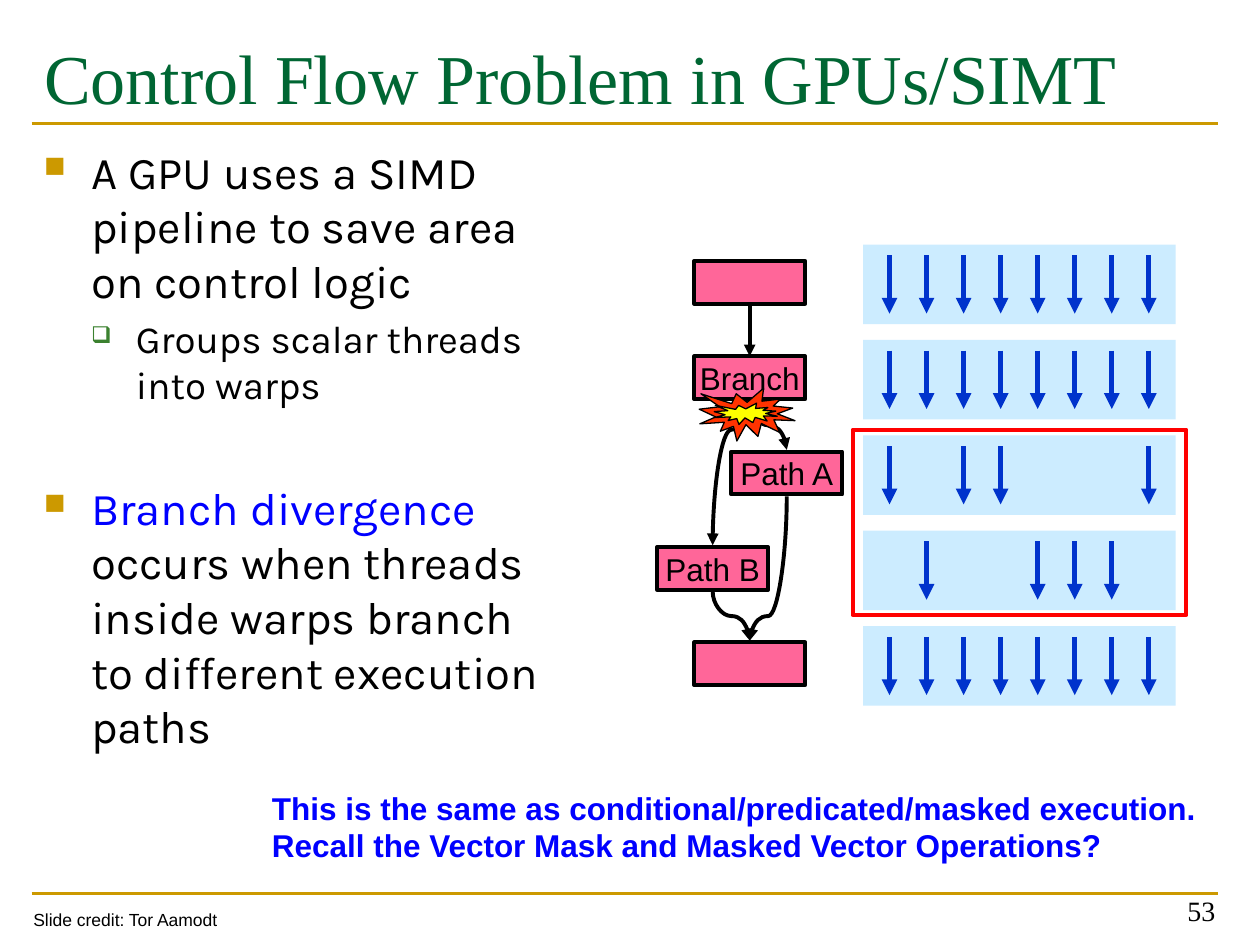
from typing import NamedTuple

from lxml.etree import SubElement
from pptx import Presentation
from pptx.dml.color import RGBColor
from pptx.enum.shapes import MSO_CONNECTOR as Link, MSO_SHAPE as Preset
from pptx.enum.text import MSO_ANCHOR as Anchor, MSO_AUTO_SIZE as AutoSize, PP_ALIGN as Align
from pptx.oxml.ns import qn
from pptx.util import Pt

GOLD, BLACK, BLUE, NAVY = "CC9900", "000000", "0000FF", "0033CC"
PITCH = 54.5          # from one execution step to the next
BAND_TOP, BAND_HEIGHT = 139.8, 45.4
LANE_LEFT, LANE_GAP = 508.3, 21.17
BLOCK_TOP, BLOCK_WIDTH, BLOCK_HEIGHT = 149.1, 63.4, 24.5
CENTER = 428.4        # middle of the control-flow graph


class Block(NamedTuple):
    label: str
    center: float


class Bend(NamedTuple):
    source: int
    target: int
    turn: float       # share of the drop at which the curve turns


class Bullet(NamedTuple):
    runs: list[tuple[str, str]]
    size: float
    char: str
    color: str
    scale: int
    left: float
    hanging: float
    before: float


BLOCKS = [
    Block("", CENTER),
    Block("Branch", CENTER),
    Block("Path A", CENTER + LANE_GAP),
    Block("Path B", CENTER - LANE_GAP),
    Block("", CENTER),
]
BENDS = [Bend(1, 3, 0.2), Bend(1, 2, 0.5), Bend(2, 4, 0.83), Bend(3, 4, 0.5)]
ACTIVE_LANES = ["11111111", "11111111", "10110001", "01001110", "11111111"]
BULLETS = [
    Bullet([("A GPU uses a SIMD pipeline to save area on control logic", BLACK)],
           26, "■", GOLD, 65, 27, 27, 0),
    Bullet([("Groups scalar threads into warps", BLACK)],
           22, "❑", "3B812F", 60, 52.6, 25.6, 4.4),
    Bullet([("Branch divergence ", BLUE),
            ("occurs when threads inside warps branch to different execution paths", BLACK)],
           26, "■", GOLD, 65, 27, 27, 41.5),
]


def rgb(color: str) -> RGBColor:
    return RGBColor.from_string(color)


def style_font(font, name: str, size: float, color: str, bold: bool = False) -> None:
    font.name, font.size, font.bold = name, Pt(size), bold
    font.color.rgb = rgb(color)


def add_shape(slide, preset, left: float, top: float, width: float, height: float,
              fill: str = "", line: str = "", weight: float = 1):
    shape = slide.shapes.add_shape(preset, Pt(left), Pt(top), Pt(width), Pt(height))
    shape.shadow.inherit = False
    if fill:
        shape.fill.solid()
        shape.fill.fore_color.rgb = rgb(fill)
    else:
        shape.fill.background()
    if line:
        shape.line.color.rgb = rgb(line)
        shape.line.width = Pt(weight)
    else:
        shape.line.fill.background()
    return shape


def add_line(slide, x1: float, y1: float, x2: float, y2: float, color: str,
             weight: float, arrow: bool = True, kind=Link.STRAIGHT):
    line = slide.shapes.add_connector(kind, Pt(x1), Pt(y1), Pt(x2), Pt(y2))
    line.line.color.rgb = rgb(color)
    line.line.width = Pt(weight)
    if arrow:
        SubElement(line.line._get_or_add_ln(), qn("a:tailEnd"), type="triangle")
    SubElement(line._element.spPr, qn("a:effectLst"))
    return line


def add_bend(slide, x1: float, y1: float, x2: float, y2: float, turn: float) -> None:
    """Draw a curve that leaves and arrives vertically: a level one, turned a quarter."""
    rightward = x2 > x1
    mid_x, mid_y = (x1 + x2) / 2, (y1 + y2) / 2
    half_run, half_rise = (y2 - y1) / 2, abs(x2 - x1) / 2
    if rightward:
        half_run = -half_run
    curve = add_line(slide, mid_x - half_run, mid_y - half_rise,
                     mid_x + half_run, mid_y + half_rise, BLACK, 2.25, kind=Link.CURVE)
    properties = curve._element.spPr
    properties.find(qn("a:xfrm")).set("rot", str((270 if rightward else 90) * 60000))
    adjustments = properties.find(qn("a:prstGeom")).find(qn("a:avLst"))
    SubElement(adjustments, qn("a:gd"), name="adj1", fmla=f"val {round(turn * 100000)}")


def add_text(slide, left: float, top: float, width: float, height: float,
             lines: list[str], font: str, size: float, color: str, bold: bool = False,
             align=Align.LEFT, anchor=Anchor.TOP) -> None:
    frame = slide.shapes.add_textbox(Pt(left), Pt(top), Pt(width), Pt(height)).text_frame
    frame.word_wrap = False
    frame.vertical_anchor = anchor
    frame.text = "\n".join(lines)
    for paragraph in frame.paragraphs:
        paragraph.alignment = align
        style_font(paragraph.font, font, size, color, bold)


def add_bullet(paragraph, item: Bullet) -> None:
    properties = paragraph._p.get_or_add_pPr()
    properties.set("marL", str(Pt(item.left)))
    properties.set("indent", str(-Pt(item.hanging)))
    SubElement(SubElement(properties, qn("a:buClr")), qn("a:srgbClr"), val=item.color)
    SubElement(properties, qn("a:buSzPct"), val=str(item.scale * 1000))
    SubElement(properties, qn("a:buChar"), char=item.char)
    if item.before:
        paragraph.space_before = Pt(item.before)
    paragraph.font.name, paragraph.font.size = "Karla", Pt(item.size)
    for text, color in item.runs:
        run = paragraph.add_run()
        run.text = text
        run.font.color.rgb = rgb(color)


def add_title(slide, text: str) -> None:
    title = slide.shapes.title
    title.left, title.top, title.width, title.height = Pt(18), Pt(12), Pt(678), Pt(84)
    frame = title.text_frame
    frame.text = text
    frame.auto_size = AutoSize.NONE
    frame.vertical_anchor = Anchor.TOP
    frame.margin_top = Pt(8)
    frame.paragraphs[0].alignment = Align.LEFT
    style_font(frame.paragraphs[0].font, "Times New Roman", 40, "006633")


def add_body(slide) -> None:
    frame = slide.shapes.add_textbox(Pt(18), Pt(78.5), Pt(312), Pt(409)).text_frame
    frame.word_wrap = True
    for index, item in enumerate(BULLETS):
        add_bullet(frame.add_paragraph() if index else frame.paragraphs[0], item)


def add_warps(slide) -> None:
    for step, lanes in enumerate(ACTIVE_LANES):
        top = BAND_TOP + step * PITCH
        add_shape(slide, Preset.RECTANGLE, 493.2, top, 178.6, BAND_HEIGHT, "CCECFF")
        for lane, active in enumerate(lanes):
            if active == "1":
                x = LANE_LEFT + lane * LANE_GAP
                add_line(slide, x, top + 6.1, x, top + 39.4, NAVY, 3)
    add_shape(slide, Preset.RECTANGLE, 487.2, 245.5, 190.8, 106, line="FF0000", weight=2.25)


def add_flow_graph(slide) -> None:
    tops = [BLOCK_TOP + step * PITCH for step in range(len(BLOCKS))]
    boxes = []
    for block, top in zip(BLOCKS, tops):
        box = add_shape(slide, Preset.RECTANGLE, block.center - BLOCK_WIDTH / 2, top,
                        BLOCK_WIDTH, BLOCK_HEIGHT, "FF6699", BLACK, 2.25)
        boxes.append(box)
        if block.label:
            frame = box.text_frame
            frame.text = block.label
            frame.word_wrap = False
            frame.vertical_anchor = Anchor.MIDDLE
            frame.paragraphs[0].alignment = Align.CENTER
            style_font(frame.paragraphs[0].font, "Arial", 18, BLACK)
    entry = add_line(slide, CENTER, tops[0] + BLOCK_HEIGHT, CENTER, tops[1], BLACK, 2.25)
    entry.begin_connect(boxes[0], 2)
    entry.end_connect(boxes[1], 0)
    for bend in BENDS:
        add_bend(slide, BLOCKS[bend.source].center, tops[bend.source] + BLOCK_HEIGHT + 1,
                 BLOCKS[bend.target].center, tops[bend.target] - 1, bend.turn)
    add_shape(slide, Preset.EXPLOSION1, 399.6, 221.8, 54.7, 30.2, "FF3300", BLACK, 0.75)
    add_shape(slide, Preset.EXPLOSION1, 408.2, 230.4, 36, 12.2, "FFFF00", BLACK, 0.75)


def main() -> None:
    deck = Presentation()
    deck.slide_width, deck.slide_height = Pt(720), Pt(540)
    slide = deck.slides.add_slide(deck.slide_layouts[5])
    for y in (510.5, 70.6):
        add_line(slide, 18, y, 696, y, GOLD, 1.5, arrow=False)
    add_title(slide, "Control Flow Problem in GPUs/SIMT")
    add_body(slide)
    add_text(slide, 533.5, 497.5, 168, 36, ["53"], "Times New Roman", 16, BLACK,
             align=Align.RIGHT, anchor=Anchor.BOTTOM)
    add_warps(slide)
    add_flow_graph(slide)
    add_text(slide, 12, 516, 122, 19.4, ["Slide credit: Tor Aamodt"], "Arial", 10, BLACK)
    add_text(slide, 148.3, 447.1, 548, 51,
             ["This is the same as conditional/predicated/masked execution.",
              "Recall the Vector Mask and Masked Vector Operations?"],
             "Arial", 18, BLUE, bold=True)
    deck.save("out.pptx")


if __name__ == "__main__":
    main()
